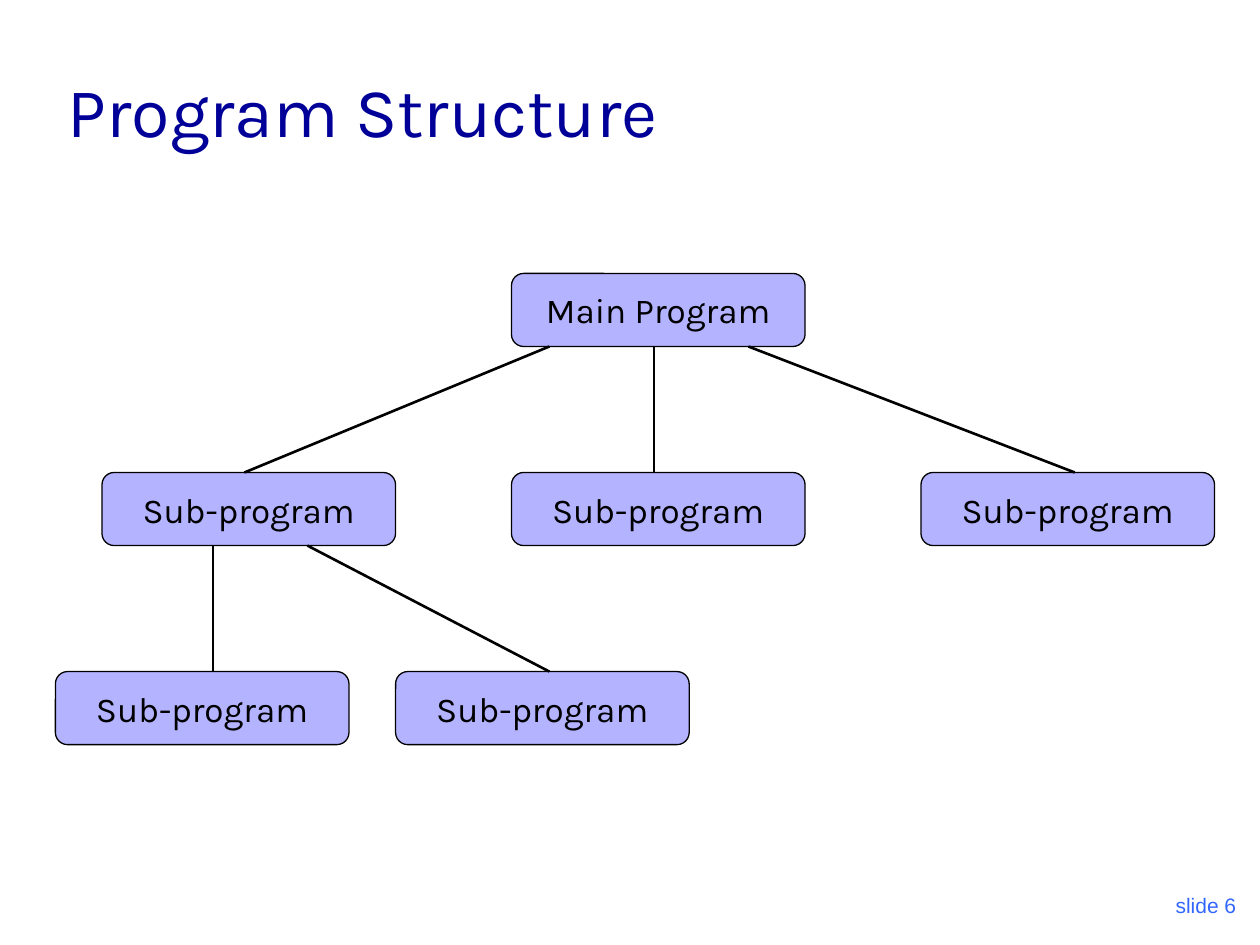
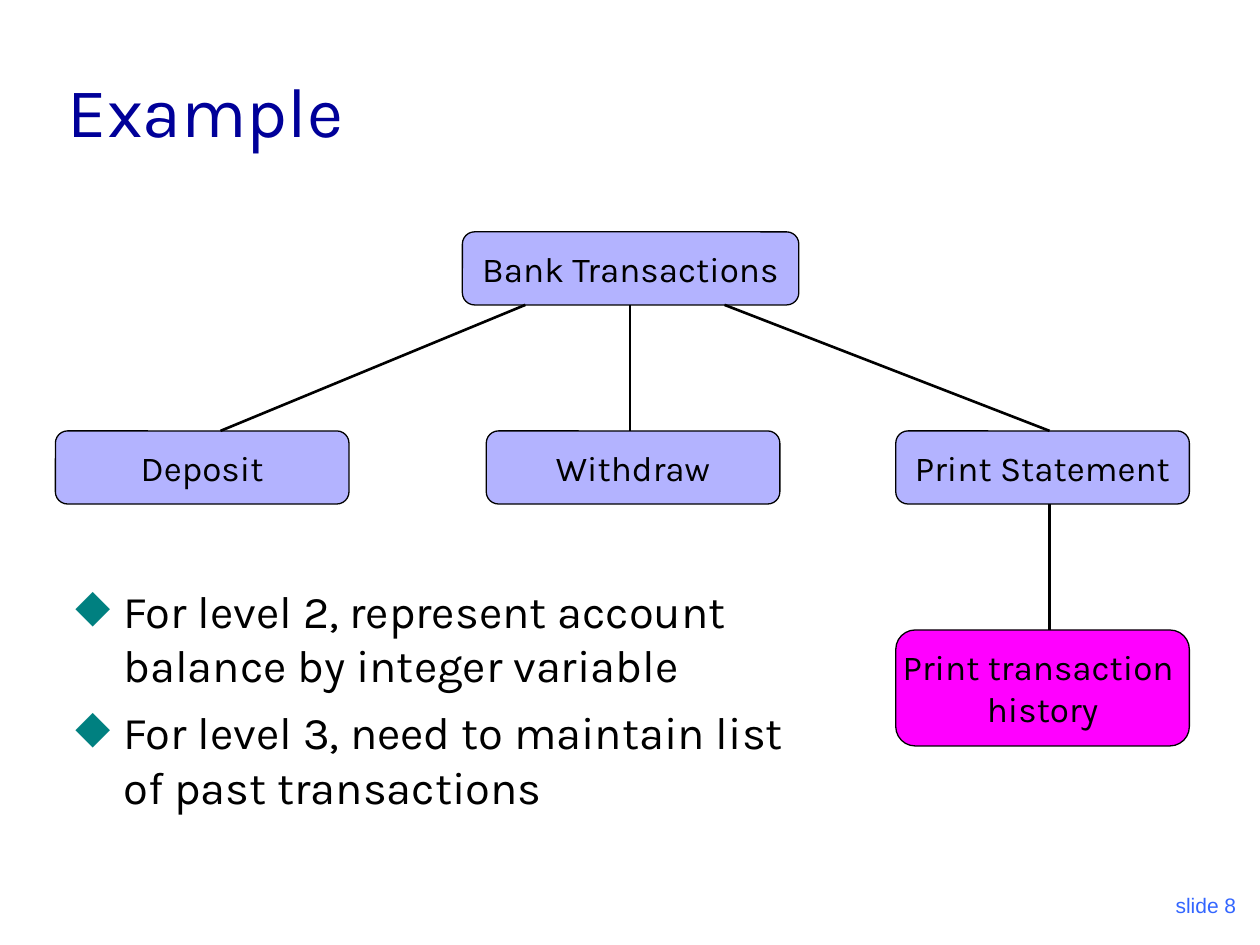
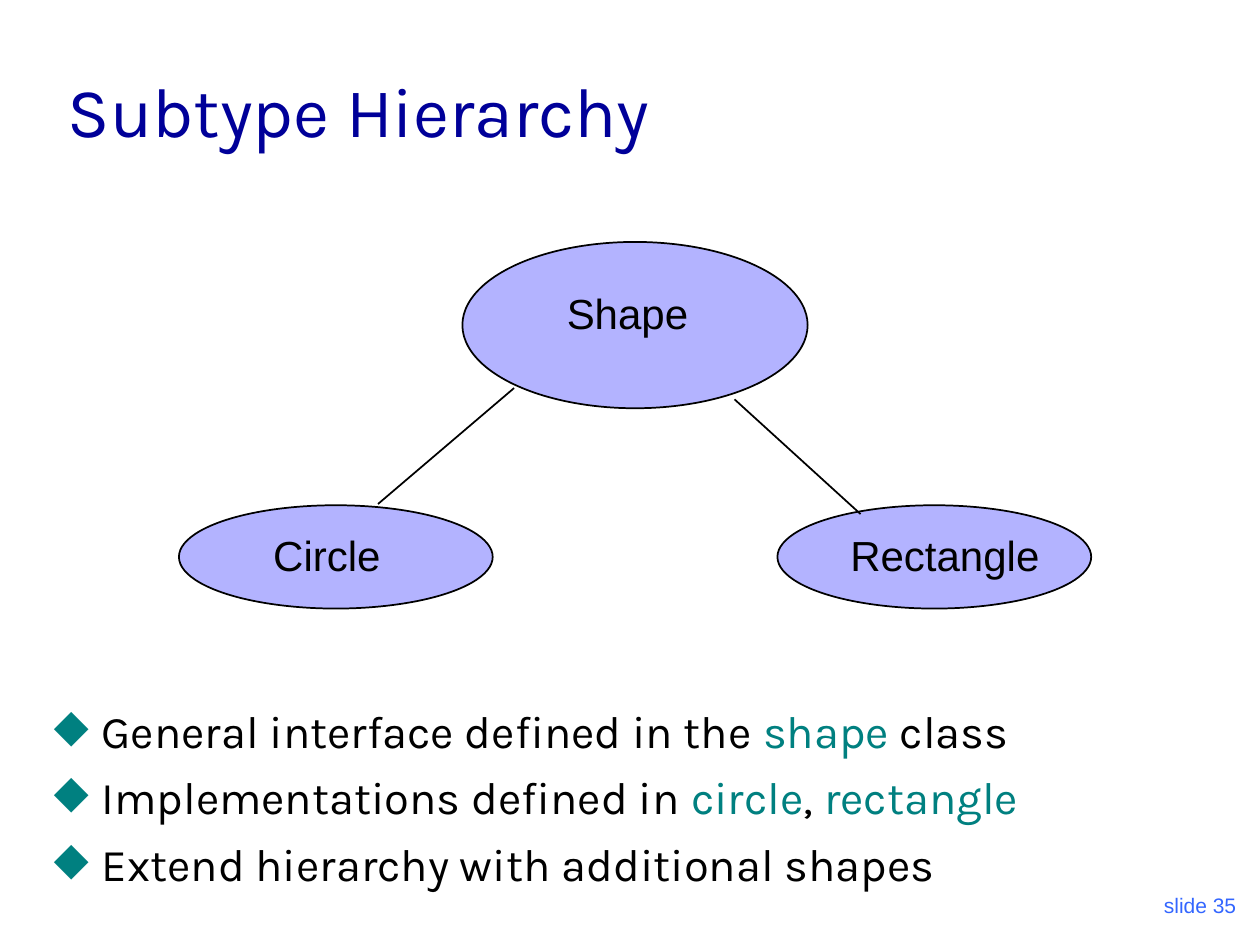
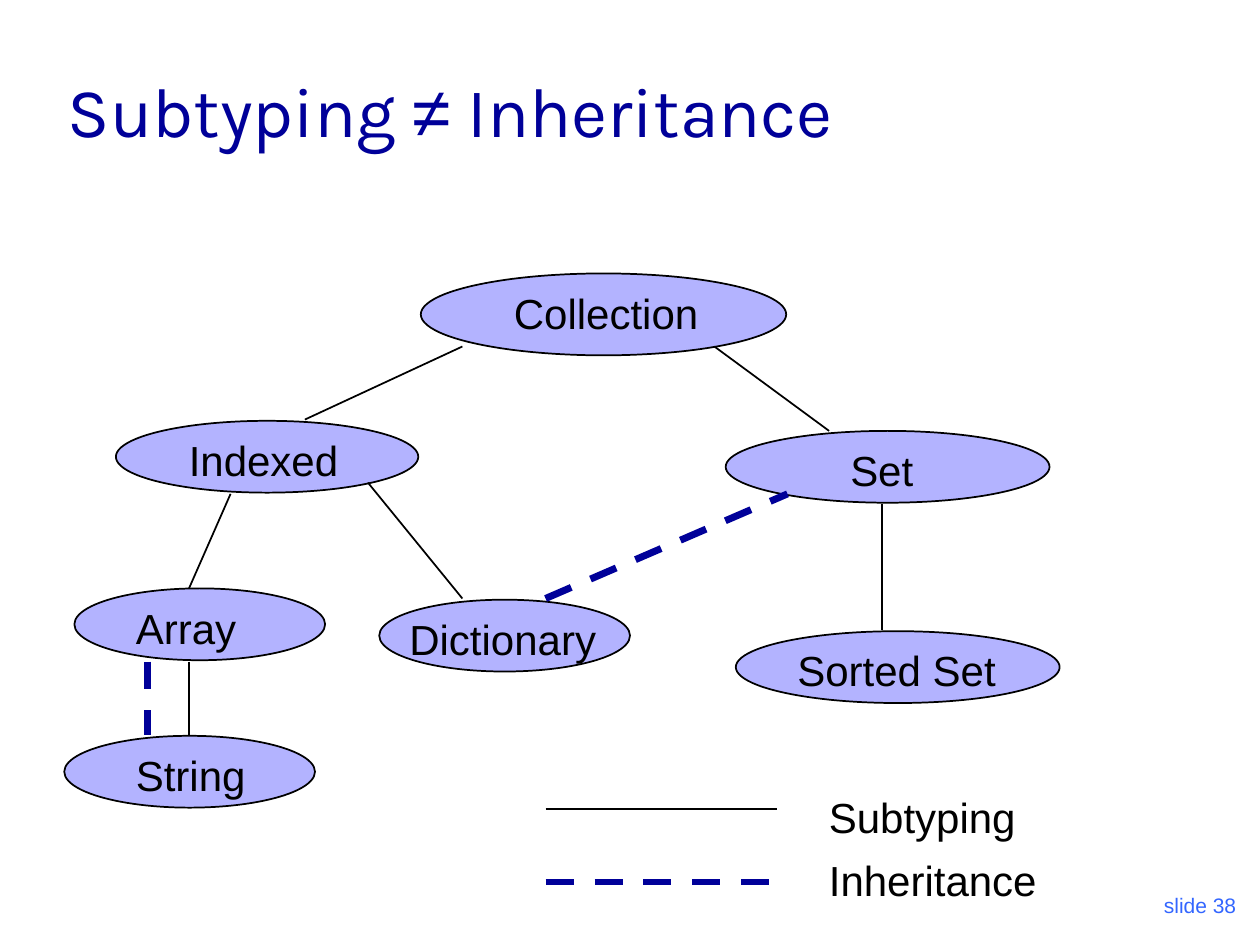
from lxml import etree
from pptx import Presentation
from pptx.dml.color import RGBColor
from pptx.enum.dml import MSO_LINE
from pptx.enum.shapes import MSO_CONNECTOR, MSO_SHAPE
from pptx.enum.text import MSO_ANCHOR as ANCHOR, MSO_AUTO_SIZE, PP_ALIGN as ALIGN
from pptx.oxml.ns import qn
from pptx.util import Inches, Pt

COLORS = {
    "title": "000099",
    "footer": "3366FF",
    "accent": "008080",
    "text": "000000",
    "node": "B3B3FF",
    "highlight": "FF00FF",
}
HEAD, BODY = "Karla", "Arial"
BOX_W, BOX_H, LEVEL_STEP = 2.33, 0.58, 1.58
LABEL_H = 0.5

# slide content
PROGRAM = {
    "title": [("Program Structure", {})],
    "number": 6,
    "top": 2.17,
    "boxes": [
        (["Main Program"], 0, 4.06, {}),
        *[(["Sub-program"], 1, 0.81 + 3.25 * i, {}) for i in range(3)],
        *[(["Sub-program"], 2, x, {}) for x in (3.14, 0.44)],
    ],
    "links": [(0, 5.19, 5.19), (0, 5.94, 8.53), (0, 4.36, 1.94),
              (1, 1.69, 1.69), (1, 2.44, 4.36)],
}
BANK = {
    "title": [("Example", {})],
    "number": 8,
    "body": (0.5, 4.58, 6.08, 2.04),
    "bullets": [
        [("For level 2, represent account balance by integer variable", {})],
        [("For level 3, need to maintain list of past transactions", {})],
    ],
    "top": 1.84,
    "boxes": [
        (["Bank Transactions"], 0, 3.67, {"w": 2.67}),
        (["Deposit"], 1, 0.44, {}),
        (["Withdraw"], 1, 3.86, {}),
        (["Print Statement"], 1, 7.11, {}),
        (["Print transaction ", "history"], 2, 7.11, {"h": 0.92, "fill": "highlight"}),
    ],
    "links": [(0, 5, 5), (0, 5.75, 8.33), (0, 4.17, 1.75), (1, 8.33, 8.33)],
}
SHAPES = {
    "title": [("Subtype Hierarchy", {})],
    "number": 35,
    "body": (0.33, 5.53, 9.33, 1.55),
    "bullets": [
        [("General interface defined in the ", {}), ("shape", {"color": "accent"}),
         (" class", {})],
        [("Implementations defined in ", {}), ("circle", {"color": "accent"}),
         (", ", {}), ("rectangle", {"color": "accent"})],
        [("Extend hierarchy with additional shapes", {})],
    ],
    "label_drop": 0.14,
    "ellipses": [(3.67, 1.92, 2.74, 1.32), (1.42, 4.01, 2.49, 0.82), (6.17, 4.01, 2.49, 0.82)],
    "labels": [("Shape", 4.4, 2.23, 1.17), ("Circle", 2.07, 4.15, 1.05),
               ("Rectangle", 6.65, 4.15, 1.7)],
    "subtyping": [(4.08, 3.08, 3, 4), (5.83, 3.17, 6.83, 4.08)],
    "inheritance": [],
}
COLLECTIONS = {
    "title": [("Subtyping ", {}), ("≠", {"font": BODY}), (" Inheritance", {})],
    "title_w": 9.31,
    "number": 38,
    "ellipses": [
        (3.34, 2.17, 2.9, 0.65),
        (0.92, 3.34, 2.4, 0.57),
        (5.76, 3.42, 2.57, 0.57),
        (5.84, 5.01, 2.57, 0.57),
        (0.59, 4.67, 1.99, 0.57),
        (3.01, 4.76, 1.99, 0.57),
        (0.51, 5.84, 1.99, 0.57),
    ],
    "labels": [
        ("Collection", 3.98, 2.23, 1.67),
        ("Indexed", 1.4, 3.4, 1.39),
        ("Set", 6.65, 3.48, 0.7),
        ("Sorted Set", 6.23, 5.07, 1.78),
        ("Array", 0.98, 4.73, 1),
        ("Dictionary", 3.15, 4.82, 1.68),
        ("String", 0.98, 5.9, 1.07),
        ("Subtyping", 6.48, 6.23, 1.69),
        ("Inheritance", 6.48, 6.73, 1.85),
    ],
    "subtyping": [
        (3.67, 2.75, 2.42, 3.33), (5.67, 2.75, 6.58, 3.42), (1.83, 3.92, 1.5, 4.67),
        (1.5, 5.25, 1.5, 5.83), (2.92, 3.83, 3.67, 4.75), (7, 4, 7, 5),
        (4.33, 6.42, 6.17, 6.42),
    ],
    "inheritance": [(4.33, 7, 6.17, 7), (4.33, 4.75, 6.25, 3.92), (1.17, 5.25, 1.17, 5.83)],
}


def rgb(name):
    return RGBColor.from_string(COLORS[name])


def add_run(p, text, size, font, color):
    r = p.add_run()
    r.text = text
    r.font.size = Pt(size)
    r.font.name = font
    r.font.color.rgb = rgb(color)


def fill_text(tf, paragraphs, size, font, color="text", align=ALIGN.LEFT,
              anchor=ANCHOR.TOP, wrap=True):
    tf.word_wrap = wrap
    tf.vertical_anchor = anchor
    for i, runs in enumerate(paragraphs):
        p = tf.paragraphs[0] if i == 0 else tf.add_paragraph()
        p.alignment = align
        for text, style in runs:
            add_run(p, text, size, style.get("font", font), style.get("color", color))


def add_text(slide, at, paragraphs, size, font, **options):
    tf = slide.shapes.add_textbox(*map(Inches, at)).text_frame
    fill_text(tf, paragraphs, size, font, **options)
    return tf


def add_bullets(slide, at, items):
    tf = add_text(slide, at, items, 25.9, HEAD)
    for i, p in enumerate(tf.paragraphs):
        if i:
            p.space_before = Pt(7)
        pPr = p._p.get_or_add_pPr()
        pPr.set("marL", str(Inches(0.38)))
        pPr.set("indent", str(-Inches(0.38)))
        clr = etree.SubElement(pPr, qn("a:buClr"))
        etree.SubElement(clr, qn("a:srgbClr")).set("val", COLORS["accent"])
        etree.SubElement(pPr, qn("a:buChar")).set("char", "◆")


def add_node(slide, kind, at, fill="node", width=1):
    sp = slide.shapes.add_shape(kind, *map(Inches, at))
    sp.shadow.inherit = False
    sp.fill.solid()
    sp.fill.fore_color.rgb = rgb(fill)
    sp.line.color.rgb = rgb("text")
    sp.line.width = Pt(width)
    return sp


def add_line(slide, ends, width=1, color="text", dash=None):
    line = slide.shapes.add_connector(MSO_CONNECTOR.STRAIGHT, *map(Inches, ends))
    line.line.color.rgb = rgb(color)
    line.line.width = Pt(width)
    if dash:
        line.line.dash_style = dash
    etree.SubElement(line._element.spPr, qn("a:effectLst"))


def add_base(prs, data):
    slide = prs.slides.add_slide(prs.slide_layouts[6])
    add_text(slide, (7.83, 6.83, 2.08, 0.5), [[(f"slide {data['number']}", {})]], 12, BODY,
             color="footer", align=ALIGN.RIGHT, anchor=ANCHOR.BOTTOM)
    add_text(slide, (0.44, 0.25, data.get("title_w", 8.5), 1), [data["title"]], 40, HEAD,
             color="title", anchor=ANCHOR.BOTTOM)
    if "bullets" in data:
        add_bullets(slide, data["body"], data["bullets"])
    return slide


def add_box_tree(prs, data):
    slide = add_base(prs, data)
    for lines, level, x, style in data["boxes"]:
        y = data["top"] + level * LEVEL_STEP
        sp = add_node(slide, MSO_SHAPE.ROUNDED_RECTANGLE,
                      (x, y, style.get("w", BOX_W), style.get("h", BOX_H)),
                      style.get("fill", "node"), 0.75)
        fill_text(sp.text_frame, [[(text, {})] for text in lines], 20, HEAD,
                  align=ALIGN.CENTER, anchor=ANCHOR.MIDDLE, wrap=False)
    for level, x1, x2 in data["links"]:
        y = data["top"] + level * LEVEL_STEP
        add_line(slide, (x1, y + BOX_H, x2, y + LEVEL_STEP), 1.5)


def add_ellipse_tree(prs, data):
    slide = add_base(prs, data)
    for at in data["ellipses"]:
        add_node(slide, MSO_SHAPE.OVAL, at)
    for text, x, y, w in data["labels"]:
        tf = add_text(slide, (x, y, w, LABEL_H), [[(text, {})]], 24, BODY, wrap=False)
        tf.auto_size = MSO_AUTO_SIZE.SHAPE_TO_FIT_TEXT
    for ends in data["subtyping"]:
        add_line(slide, ends)
    for ends in data["inheritance"]:
        add_line(slide, ends, 4, "title", MSO_LINE.DASH)


def main():
    prs = Presentation()
    prs.slide_width, prs.slide_height = Inches(10), Inches(7.5)
    for data in (PROGRAM, BANK):
        add_box_tree(prs, data)
    for data in (SHAPES, COLLECTIONS):
        add_ellipse_tree(prs, data)
    prs.save("out.pptx")


if __name__ == "__main__":
    main()
